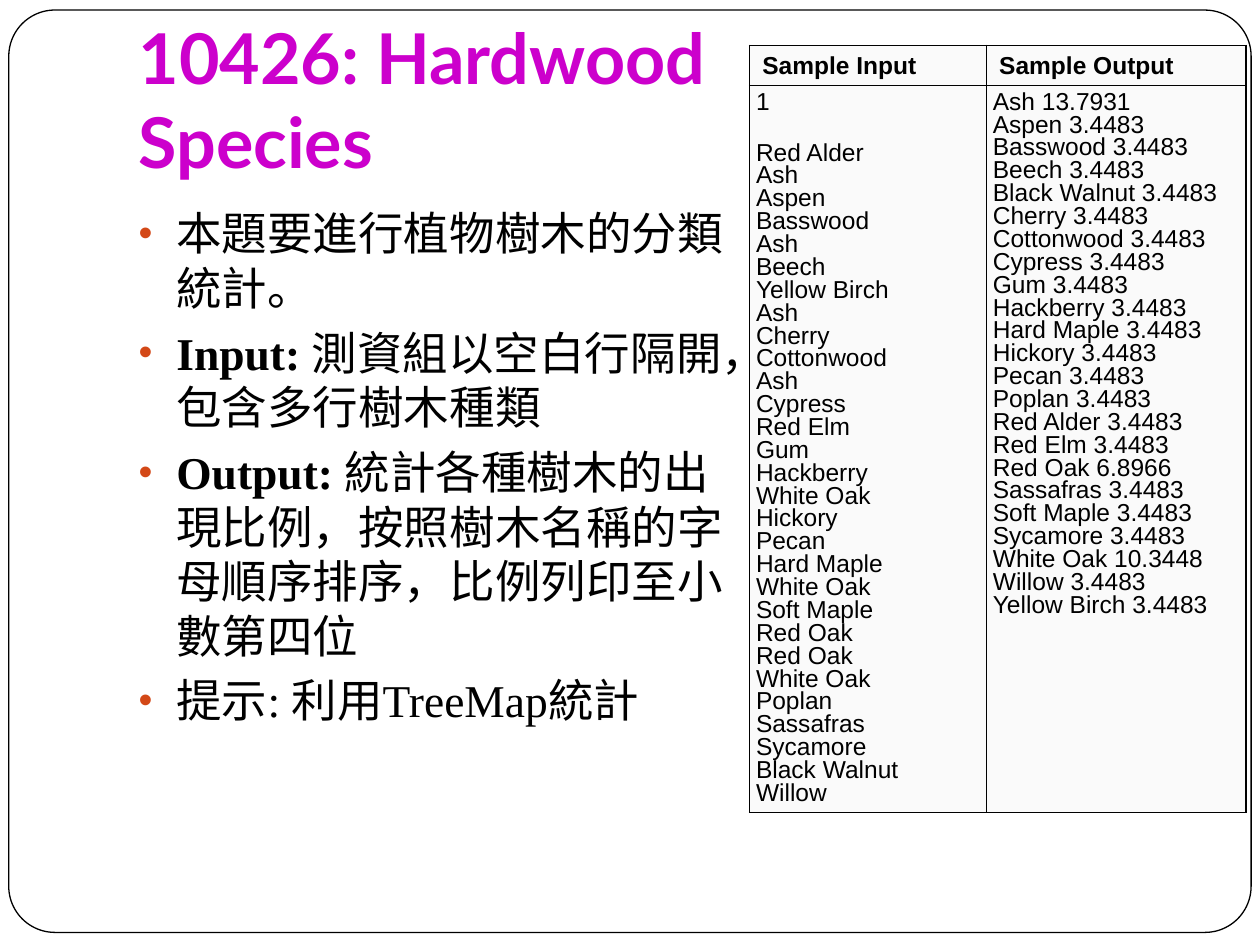
import dataclasses
import typing

import pptx
import pptx.dml.color
import pptx.enum.shapes
import pptx.enum.text
import pptx.oxml
import pptx.oxml.ns
import pptx.util

Inches = pptx.util.Inches
Pt = pptx.util.Pt
ANCHOR = pptx.enum.text.MSO_ANCHOR
LEFT = pptx.enum.text.PP_ALIGN.LEFT
SHAPE = pptx.enum.shapes.MSO_SHAPE


@dataclasses.dataclass
class Panel:
    kind: int
    box: tuple
    line: typing.Optional[str] = None
    adj: typing.Optional[float] = None


@dataclasses.dataclass
class Bullet:
    text: str
    lead: str = ""


@dataclasses.dataclass
class Column:
    head: str
    width: float
    lines: list


PANELS = [
    Panel(SHAPE.RECTANGLE, (0, 0, 10, 7.5)),
    Panel(SHAPE.ROUNDED_RECTANGLE, (0.07, 0.08, 9.86, 7.32), "000000", 0.05),
]

BULLETS = [
    Bullet("本題要進行植物樹木的分類統計。"),
    Bullet(" 測資組以空白行隔開，包含多行樹木種類", "Input:"),
    Bullet("統計各種樹木的出現比例，按照樹木名稱的字母順序排序，比例列印至小數第四位", "Output: "),
    Bullet("提示: 利用TreeMap統計"),
]

TREES = [
    "Red Alder", "Ash", "Aspen", "Basswood", "Ash", "Beech", "Yellow Birch", "Ash",
    "Cherry", "Cottonwood", "Ash", "Cypress", "Red Elm", "Gum", "Hackberry",
    "White Oak", "Hickory", "Pecan", "Hard Maple", "White Oak", "Soft Maple",
    "Red Oak", "Red Oak", "White Oak", "Poplan", "Sassafras", "Sycamore",
    "Black Walnut", "Willow",
]

SHARES = [
    f"{tree} {100 * TREES.count(tree) / len(TREES):.4f}" for tree in sorted(set(TREES))
]

COLUMNS = [
    Column("Sample Input", 1.88, ["1"] + TREES),
    Column("Sample Output", 2.06, SHARES),
]


def rgb(color: str) -> pptx.dml.color.RGBColor:
    return pptx.dml.color.RGBColor.from_string(color)


def apply(obj, values: dict) -> None:
    for name, value in values.items():
        setattr(obj, name, value)


def place(sp, box: tuple) -> None:
    apply(sp, dict(zip(("left", "top", "width", "height"), map(Inches, box))))


def add_run(p, text: str, color: str = "000000", **font) -> None:
    r = p.add_run()
    r.text = text
    apply(r.font, font)
    r.font.color.rgb = rgb(color)


def append_xml(parent, xml: str) -> None:
    ns = pptx.oxml.ns.nsdecls("a")
    parent.append(pptx.oxml.parse_xml(xml.replace("@", ns, 1)))


def add_panel(s, panel: Panel) -> None:
    sp = s.shapes.add_shape(panel.kind, *map(Inches, panel.box))
    sp.shadow.inherit = False
    sp.fill.solid()
    sp.fill.fore_color.rgb = rgb("FFFFFF")
    if panel.adj is not None:
        sp.adjustments[0] = panel.adj
    if panel.line:
        sp.line.color.rgb = rgb(panel.line)
        sp.line.width = Pt(0.75)
    else:
        sp.line.fill.background()
    s.shapes.title.element.addprevious(sp.element)


def fill_title(sp) -> None:
    place(sp, (1, 0.3, 5.1, 1.25))
    tf = sp.text_frame
    apply(tf, {
        "vertical_anchor": ANCHOR.BOTTOM,
        "margin_bottom": Inches(0.1),
        "word_wrap": True,
        "auto_size": pptx.enum.text.MSO_AUTO_SIZE.NONE,
    })
    p = tf.paragraphs[0]
    p.alignment = LEFT
    add_run(p, "10426: Hardwood Species", "CC00CC", name="Lato", size=Pt(40), bold=True)


def fill_body(sp, bullets: list) -> None:
    place(sp, (1, 1.58, 4.87, 5))
    tf = sp.text_frame
    apply(tf, {"word_wrap": True, "auto_size": pptx.enum.text.MSO_AUTO_SIZE.NONE})
    for i, bullet in enumerate(bullets):
        p = tf.add_paragraph() if i else tf.paragraphs[0]
        apply(p, {"space_before": Pt(5.8), "alignment": LEFT})
        pPr = p._p.get_or_add_pPr()
        pPr.set("marL", str(Inches(0.3)))
        pPr.set("indent", str(Inches(-0.3)))
        append_xml(pPr, '<a:buClr @><a:srgbClr val="D34817"/></a:buClr>')
        append_xml(pPr, '<a:buSzPct @ val="87000"/>')
        append_xml(pPr, '<a:buFont @ typeface="Arial"/>')
        append_xml(pPr, '<a:buChar @ char="•"/>')
        for text, bold in ((bullet.lead, True), (bullet.text, False)):
            if text:
                add_run(p, text, name="Times New Roman", size=Pt(26), bold=bold)


def fill_cell(cell, lines: list, bold: bool, cell_format: dict, p_format: dict) -> None:
    apply(cell, cell_format)
    tf = cell.text_frame
    for i, line in enumerate(lines):
        p = tf.add_paragraph() if i else tf.paragraphs[0]
        apply(p, p_format)
        add_run(p, line, name="Arial", size=Pt(14), bold=bold)
    tcPr = cell._tc.get_or_add_tcPr()
    for side in "LRTB":
        append_xml(tcPr, f'<a:ln{side} @ w="{Pt(1)}"><a:solidFill>'
                         f'<a:srgbClr val="000000"/></a:solidFill></a:ln{side}>')
    cell.fill.solid()
    cell.fill.fore_color.rgb = rgb("FAFAFA")


def add_samples(s, columns: list) -> None:
    heights = (0.32, 5.76)
    width = sum(c.width for c in columns)
    box = (5.95, 0.36, width, sum(heights))
    table = s.shapes.add_table(2, len(columns), *map(Inches, box)).table
    apply(table, {"first_row": False, "horz_banding": False})
    for row, height in zip(table.rows, heights):
        row.height = Inches(height)
    head = {"vertical_anchor": ANCHOR.MIDDLE, "margin_left": Inches(0.1),
            "margin_right": Inches(0.3)}
    body = {"vertical_anchor": ANCHOR.TOP, "margin_left": Inches(0.05),
            "margin_right": Inches(0.1)}
    for i, column in enumerate(columns):
        table.columns[i].width = Inches(column.width)
        fill_cell(table.cell(0, i), [column.head], True, head, {})
        fill_cell(table.cell(1, i), column.lines, False, body, {"line_spacing": 0.83})
    table.cell(1, 0).text_frame.paragraphs[1].space_before = Pt(16)


def main() -> None:
    prs = pptx.Presentation()
    apply(prs, {"slide_width": Inches(10), "slide_height": Inches(7.5)})
    s = prs.slides.add_slide(prs.slide_layouts[1])
    s.background.fill.solid()
    s.background.fill.fore_color.rgb = rgb("FFCCCC")
    for panel in PANELS:
        add_panel(s, panel)
    fill_title(s.shapes.title)
    fill_body(s.placeholders[1], BULLETS)
    add_samples(s, COLUMNS)
    prs.save("out.pptx")


if __name__ == "__main__":
    main()
